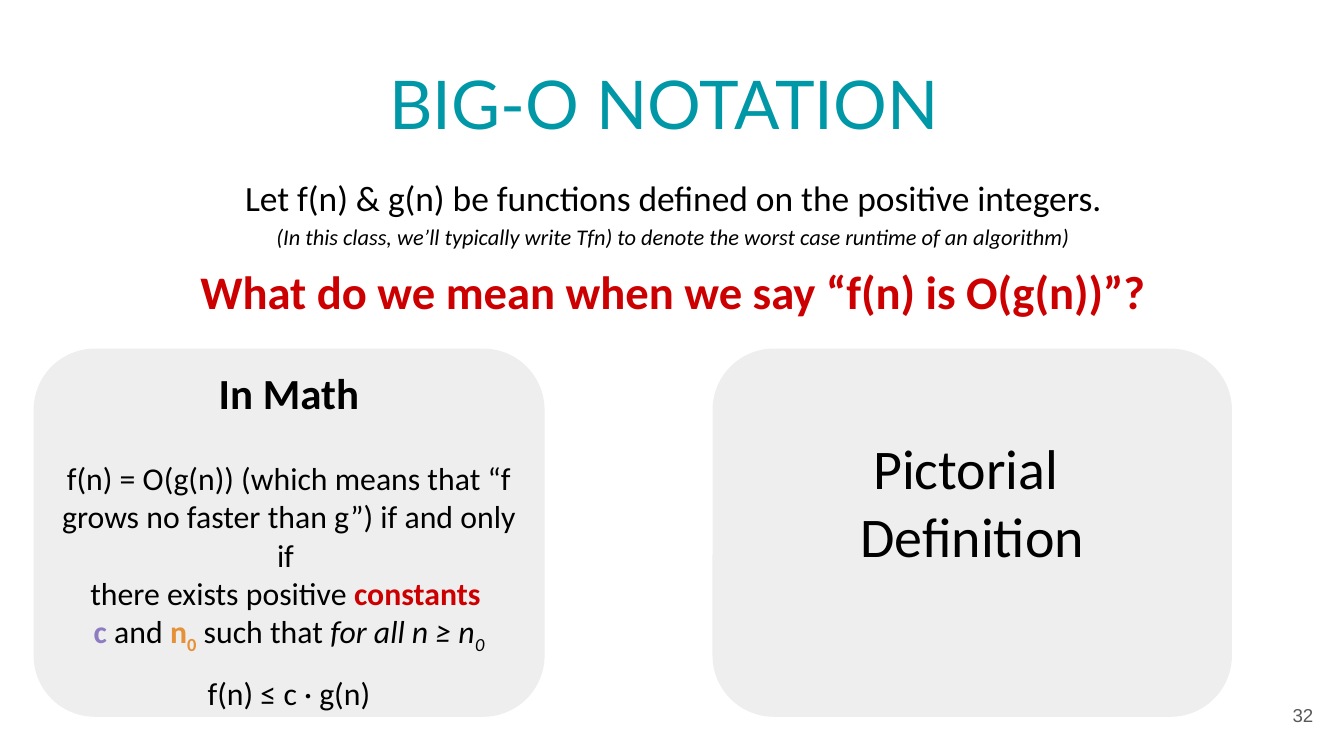
import pptx
import pptx.dml.color
import pptx.enum.shapes
import pptx.enum.text
import pptx.util

PX = 9525
ALIGN = pptx.enum.text.PP_ALIGN
ANCHOR = pptx.enum.text.MSO_ANCHOR


def rgb(value):
    return pptx.dml.color.RGBColor.from_string(value)


def style(p, size, name="Calibri", color="000000", align=ALIGN.CENTER):
    p.alignment = align
    p.font.size = pptx.util.Pt(size)
    p.font.name = name
    p.font.color.rgb = rgb(color)


prs = pptx.Presentation()
prs.slide_width = 960 * PX
prs.slide_height = 540 * PX
s = prs.slides.add_slide(prs.slide_layouts[6])

cards = []
for left, width in ((509, 371), (24, 365)):
    sp = s.shapes.add_shape(
        pptx.enum.shapes.MSO_SHAPE.ROUNDED_RECTANGLE,
        left * PX, 249 * PX, width * PX, 263 * PX)
    sp.shadow.inherit = False
    sp.fill.solid()
    sp.fill.fore_color.rgb = rgb("EEEEEE")
    sp.line.fill.background()
    cards.append(sp)

frames = []
for left, top, width, height, anchor in (
    (33, 39, 895, 68, ANCHOR.MIDDLE),
    (31, 124, 900, 52, ANCHOR.MIDDLE),
    (31, 185, 899, 45, ANCHOR.MIDDLE),
    (537, 300, 315, 116, ANCHOR.TOP),
    (890, 490, 58, 41, ANCHOR.MIDDLE),
):
    tf = s.shapes.add_textbox(left * PX, top * PX, width * PX, height * PX).text_frame
    tf.word_wrap = True
    tf.vertical_anchor = anchor
    tf.margin_left = tf.margin_right = tf.margin_top = tf.margin_bottom = 10 * PX
    frames.append(tf)
title, intro, question, pictorial, number = frames

p = title.paragraphs[0]
p.text = "BIG-O NOTATION "
style(p, 36, "Lato", "0097A7")

p = intro.paragraphs[0]
style(p, 19)
p.line_spacing = 1.15
p.add_run().text = "Let f(n) & g(n) be functions defined on the positive integers."
p.add_line_break()
r = p.add_run()
r.text = "(In this class, we’ll typically write Tfn) to denote the worst case runtime of an algorithm)"
r.font.size = pptx.util.Pt(12)
r.font.italic = True

p = question.paragraphs[0]
p.text = "What do we mean when we say “f(n) is O(g(n))”?"
style(p, 25, color="CC0000")
p.font.bold = True

pictorial.text = "Pictorial \nDefinition"
for p in pictorial.paragraphs:
    style(p, 30)

p = number.paragraphs[0]
p.text = "32"
style(p, 10, "Arial", "595959", ALIGN.RIGHT)

tf = cards[1].text_frame
tf.word_wrap = True
tf.vertical_anchor = ANCHOR.TOP
tf.margin_left = tf.margin_right = tf.margin_top = tf.margin_bottom = 0

p = tf.paragraphs[0]
p.text = "In Math"
style(p, 23)
p.font.bold = True

p = tf.add_paragraph()
style(p, 17)
p.space_before = pptx.util.Pt(22)
for text, color, bold, italic, sub in (
    ("f(n) = O(g(n)) (which means that “f grows no faster than g”) if and only if ",
     "000000", False, False, False),
    ("\n", None, False, False, False),
    ("there exists positive ", "000000", False, False, False),
    ("constants ", "CC0000", True, False, False),
    ("\n", None, False, False, False),
    ("c", "8E7CC3", True, False, False),
    (" and ", "000000", False, False, False),
    ("n", "E69138", True, False, False),
    ("0", "E69138", True, False, True),
    (" such that ", "000000", False, False, False),
    ("for all n ≥ n", "000000", False, True, False),
    ("0", "000000", False, True, True),
):
    if text == "\n":
        p.add_line_break()
        continue
    r = p.add_run()
    r.text = text
    r.font.color.rgb = rgb(color)
    r.font.bold = bold
    r.font.italic = italic
    if sub:
        r._r.get_or_add_rPr().set("baseline", "-25000")

p = tf.add_paragraph()
p.text = "f(n) ≤ c · g(n)"
style(p, 17)
p.space_before = pptx.util.Pt(10)

prs.save("out.pptx")
